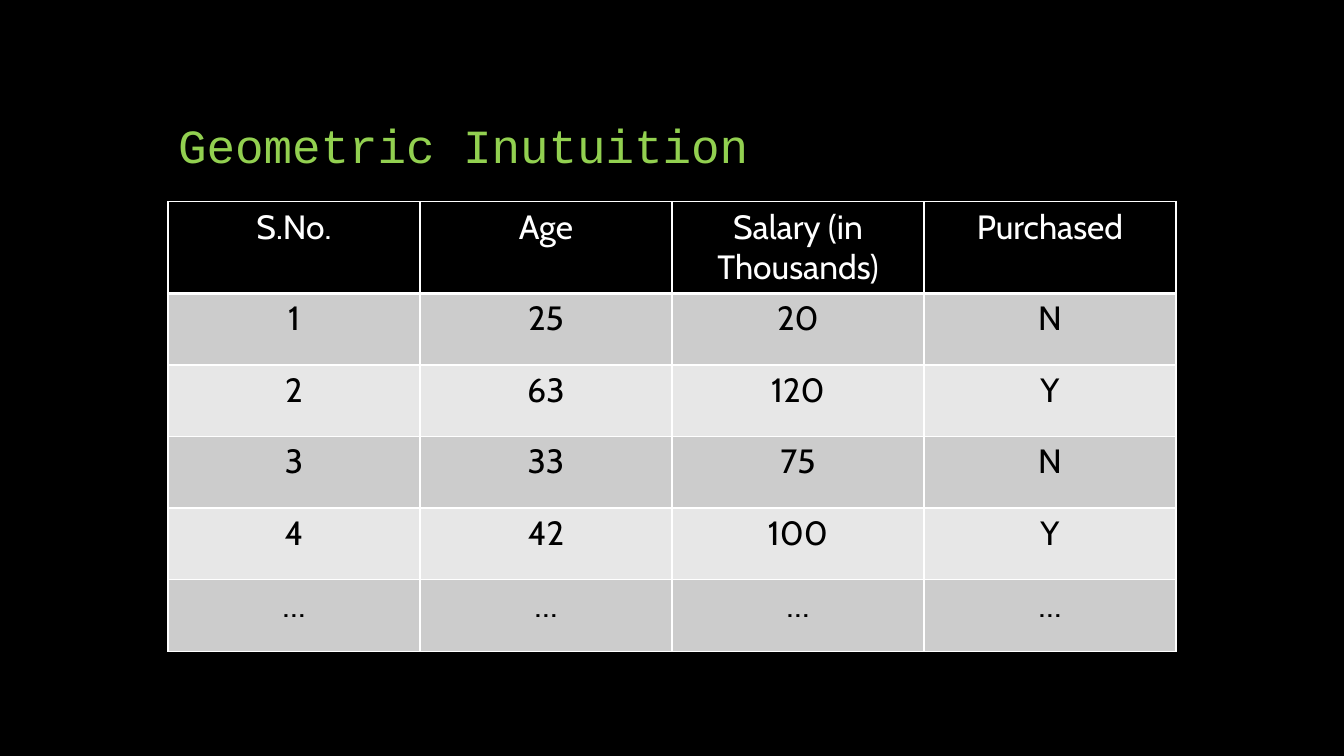
from dataclasses import dataclass

from lxml.etree import SubElement
from pptx import Presentation
from pptx.dml.color import RGBColor
from pptx.enum.text import MSO_ANCHOR, MSO_AUTO_SIZE, PP_ALIGN
from pptx.oxml.ns import qn
from pptx.util import Inches, Pt


@dataclass(frozen=True)
class Theme:
    background: str = "000000"
    heading: str = "92D050"
    header_text: str = "FFFFFF"
    body_text: str = "000000"
    bands: tuple = ("CCCCCC", "E7E7E7")
    rule: str = "FFFFFF"
    heading_font: str = "Courier New"
    body_font: str = "Cabin"
    heading_size: int = 34
    body_size: int = 24
    thin: int = 1
    thick: int = 3


def write(frame, text, *, font, size, color, align, spacing=None):
    paragraph = frame.paragraphs[0]
    paragraph.alignment = align
    paragraph.line_spacing = spacing
    run = paragraph.add_run()
    run.text = text
    run.font.name = font
    run.font.size = Pt(size)
    run.font.bold = False
    run.font.color.rgb = RGBColor.from_string(color)


class SlideBuilder:
    """Place styled elements on a slide grid of 8 columns and 15 rows."""

    def __init__(self, deck, theme):
        self.theme = theme
        self.column = deck.slide_width / 8
        self.row = deck.slide_height / 15
        self.slide = deck.slides.add_slide(deck.slide_layouts[5])
        backdrop = self.slide.background.fill
        backdrop.solid()
        backdrop.fore_color.rgb = RGBColor.from_string(theme.background)

    def box(self, column, row, columns, rows):
        return (round(column * self.column), round(row * self.row),
                round(columns * self.column), round(rows * self.row))

    def title(self, text, *place):
        heading = self.slide.shapes.title
        heading.left, heading.top, heading.width, heading.height = self.box(*place)
        frame = heading.text_frame
        frame.word_wrap = True
        frame.auto_size = MSO_AUTO_SIZE.NONE
        frame.vertical_anchor = MSO_ANCHOR.BOTTOM
        write(frame, text, font=self.theme.heading_font, size=self.theme.heading_size,
              color=self.theme.heading, align=PP_ALIGN.LEFT, spacing=0.9)

    def borders(self, cell, **widths):
        properties = cell._tc.get_or_add_tcPr()
        for side in "LRTB":
            width = widths.get(side, self.theme.thin)
            line = SubElement(properties, qn(f"a:ln{side}"), w=str(Pt(width)))
            fill = SubElement(line, qn("a:solidFill"))
            SubElement(fill, qn("a:srgbClr"), val=self.theme.rule)

    def table(self, records, *place):
        theme = self.theme
        grid = self.slide.shapes.add_table(
            len(records), len(records[0]), *self.box(*place)).table
        for index, record in enumerate(records):
            header = index == 0
            fill = theme.background if header else theme.bands[(index - 1) % 2]
            color = theme.header_text if header else theme.body_text
            edges = {0: {"B": theme.thick}, 1: {"T": theme.thick}}.get(index, {})
            for position, value in enumerate(record):
                cell = grid.cell(index, position)
                self.borders(cell, **edges)
                cell.fill.solid()
                cell.fill.fore_color.rgb = RGBColor.from_string(fill)
                write(cell.text_frame, value, font=theme.body_font,
                      size=theme.body_size, color=color, align=PP_ALIGN.CENTER)


def main():
    deck = Presentation()
    deck.slide_width, deck.slide_height = Inches(13.33), Inches(7.5)
    builder = SlideBuilder(deck, Theme())
    builder.title("Geometric Inutuition", 1, 1.04, 6, 2.5)
    purchases = [
        ("S.No.", "Age", "Salary (in Thousands)", "Purchased"),
        ("1", "25", "20", "N"),
        ("2", "63", "120", "Y"),
        ("3", "33", "75", "N"),
        ("4", "42", "100", "Y"),
        ("…",) * 4,
    ]
    builder.table(purchases, 1, 4, 6, 1.42 * len(purchases))
    deck.save("out.pptx")


if __name__ == "__main__":
    main()
